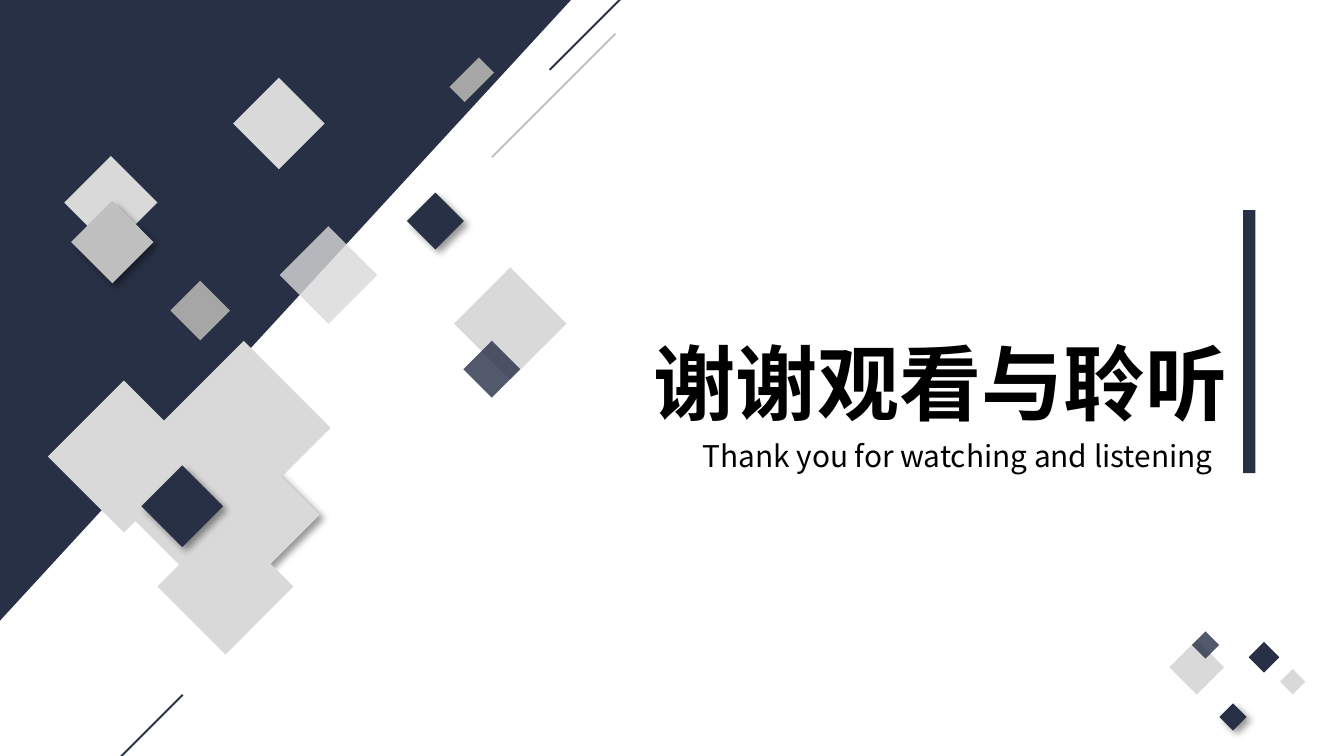
from lxml.etree import SubElement
from pptx import Presentation
from pptx.dml.color import RGBColor
from pptx.enum.shapes import MSO_CONNECTOR, MSO_SHAPE
from pptx.enum.text import MSO_ANCHOR, MSO_AUTO_SIZE, PP_ALIGN
from pptx.oxml.ns import qn
from pptx.util import Inches, Pt

NAVY, PALE, SILVER, GREY, BLACK = "273045", "D9D9D9", "BFBFBF", "A6A6A6", "000000"
FONT = "Noto Sans CJK SC"
WIDTH = Inches(10)
COLUMNS = 100  # square grid cells across the slide


def colour(code):
    return RGBColor.from_string(code)


def assign(target, values):
    for name, value in values.items():
        setattr(target, name, value)


class Painter:
    """Holds the style and the current slide; lengths are grid cells."""

    def __init__(self, deck):
        self.cell = deck.slide_width / COLUMNS
        self.page = deck.slides.add_slide(deck.slide_layouts[0])
        self.shapes = self.page.shapes

    def place(self, *cells):
        return [round(cell * self.cell) for cell in cells]

    def group(self):
        return self.page.shapes.add_group_shape().shapes

    def shape(self, kind, bounds, fill, turn=0, alpha=None, shadow=False, into=None):
        box = (into or self.shapes).add_shape(kind, *self.place(*bounds))
        box.rotation = turn
        box.shadow.inherit = False
        box.fill.solid()
        box.fill.fore_color.rgb = colour(fill)
        box.line.fill.background()
        if alpha:
            tint = box._element.spPr.find(".//" + qn("a:srgbClr"))
            SubElement(tint, qn("a:alpha"), val=str(alpha * 1000))
        if shadow:
            self.cast_shadow(box)
        return box

    def cast_shadow(self, box):
        effects = box._element.spPr.find(qn("a:effectLst"))
        outer = SubElement(effects, qn("a:outerShdw"), blurRad=str(Pt(4)),
                           dist=str(Pt(3)), dir="2700000", algn="tl", rotWithShape="0")
        tint = SubElement(outer, qn("a:srgbClr"), val=BLACK)
        SubElement(tint, qn("a:alpha"), val="40000")

    def diamonds(self, rows, turn=315, into=None):
        for left, top, width, height, fill, *extra in rows:
            self.shape(MSO_SHAPE.RECTANGLE, (left, top, width, height), fill, turn,
                       into=into, **(extra[0] if extra else {}))

    def line(self, start, end, stroke, into=None):
        rule = (into or self.shapes).add_connector(
            MSO_CONNECTOR.STRAIGHT, *self.place(*start, *end))
        rule.line.color.rgb = colour(stroke)
        rule.line.width = Pt(1)
        SubElement(rule._element.spPr, qn("a:effectLst"))

    def text(self, box, bounds, words, size, align, wrap, bold=False):
        assign(box, dict(zip(("left", "top", "width", "height"), self.place(*bounds))))
        assign(box.text_frame, {"word_wrap": wrap, "vertical_anchor": MSO_ANCHOR.TOP,
                                "auto_size": MSO_AUTO_SIZE.SHAPE_TO_FIT_TEXT})
        para = box.text_frame.paragraphs[0]
        assign(para, {"alignment": align, "space_before": Pt(0)})
        span = para.add_run()
        span.text = words
        assign(span.font, {"size": Pt(size), "bold": bold, "name": FONT})
        span.font.color.rgb = colour(BLACK)
        SubElement(span.font._element, qn("a:ea"), typeface=FONT)


def main():
    deck = Presentation()
    assign(deck, {"slide_width": WIDTH, "slide_height": WIDTH * 9 // 16})
    painter = Painter(deck)
    raised, sheer = {"shadow": True}, {"alpha": 80}

    # Corner triangle
    corner = painter.shape(MSO_SHAPE.ISOSCELES_TRIANGLE, (-1.87, 1.85, 46.2, 42.5), NAVY, 90)
    corner.adjustments[0] = 0

    # Scattered diamonds
    painter.diamonds([
        (18.34, 6.78, 4.82, 4.82, PALE),
        (13.33, 21.54, 3.14, 3.14, GREY),
        (5.8, 12.62, 4.9, 4.9, PALE),
        (6.2, 15.84, 4.34, 4.34, SILVER, raised),
        (33.55, 5.14, 3.1, 1.6, GREY),
        (35, 21.12, 5.92, 5.92, PALE),
        (30.9, 14.95, 3, 3, NAVY, raised),
        (35.1, 25.97, 3, 3, NAVY, sheer),
        (21.87, 17.9, 5.14, 5.14, PALE, sheer),
    ])

    # Large pale cluster
    painter.diamonds([
        (5.22, 29.97, 8, 8, PALE),
        (15.83, 35, 6.6, 6.6, PALE, raised),
        (13.6, 33.4, 4.1, 4.1, PALE),
        (13.2, 40.06, 7.16, 7.16, PALE),
        (10.5, 34.1, 7.2, 7.2, PALE),
        (13.56, 27.26, 9.16, 9.16, PALE),
    ], into=painter.group())

    # Small cluster at lower right
    small = painter.group()
    painter.diamonds([
        (93.24, 48.1, 1.62, 1.62, NAVY),
        (95.52, 50.05, 1.34, 1.34, PALE),
    ], into=small)
    painter.diamonds([
        (87.6, 48.2, 2.88, 2.88, PALE),
        (91.02, 52.63, 1.44, 1.44, NAVY, raised),
        (88.97, 47.27, 1.44, 1.44, NAVY, sheer),
    ], turn=135, into=small)

    # Diagonal lines
    pair = painter.group()
    painter.line((40.9, 5.2), (50.1, -4), NAVY, pair)
    painter.line((36.6, 11.7), (45.8, 2.5), SILVER, pair)
    painter.line((4.4, 60.9), (13.6, 51.7), NAVY)

    # Closing words and side bar
    title, subtitle = painter.page.placeholders
    painter.text(title, (47.6, 24.2, 45.2, 8.4), "谢谢观看与聆听", 44,
                 PP_ALIGN.LEFT, wrap=False, bold=True)
    painter.text(subtitle, (44.8, 32.1, 46.95, 3.7), "Thank you for watching and listening ", 16,
                 PP_ALIGN.RIGHT, wrap=True)
    painter.shape(MSO_SHAPE.RECTANGLE, (92.5, 15.63, 0.9, 19.57), NAVY)

    # Navy diamond on the pale cluster
    painter.diamonds([(11.42, 35.52, 4.3, 4.3, NAVY, raised)])

    deck.save("out.pptx")


if __name__ == "__main__":
    main()
